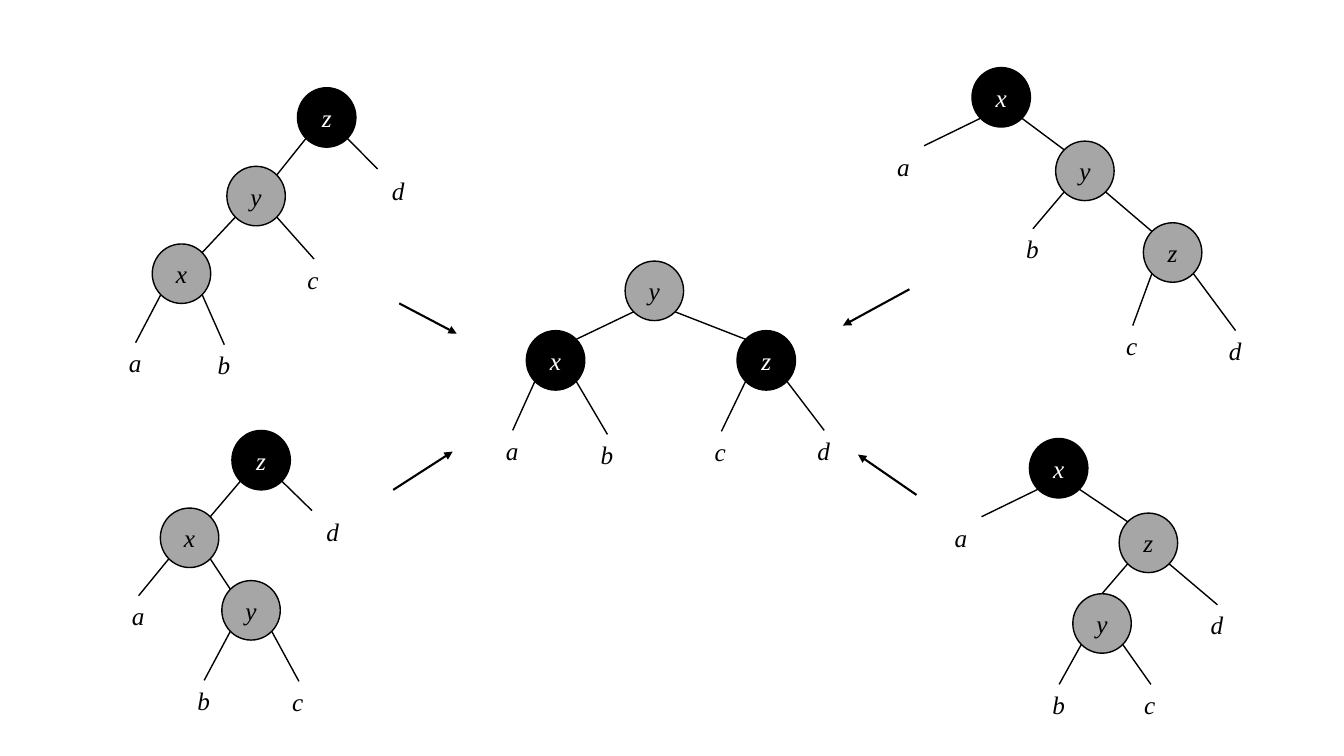
from collections import namedtuple
from math import sqrt

from pptx import Presentation
from pptx.dml.color import RGBColor
from pptx.enum.shapes import MSO_CONNECTOR, MSO_SHAPE
from pptx.enum.text import MSO_ANCHOR, MSO_AUTO_SIZE, PP_ALIGN
from pptx.oxml.ns import qn
from pptx.util import Inches, Pt
from lxml.etree import SubElement

BLACK, WHITE, GRAY = "000000", "FFFFFF", "A6A6A6"
WIDE, HIGH = 0.58, 0.59
LEAF_W, LEAF_H = 0.33, 0.4
NEAR = (1 - 1 / sqrt(2)) / 2  # where a diagonal meets an ellipse in its box
STEEP = 0.5

# left and top of the box; fill is None for a bare round leaf
Node = namedtuple("Node", "name left top fill kids", defaults=[GRAY, ()])
Leaf = namedtuple("Leaf", "name left top")


def color(code):
    return RGBColor.from_string(code)


class Board:
    def __init__(self, slide):
        self.slide = slide
        self.font = "Times New Roman"
        self.size = Pt(18)
        self.shapes = slide.shapes

    def letter(self, frame, text, ink):
        run = frame.paragraphs[0].add_run()
        run.text = text
        run.font.name = self.font
        run.font.size = self.size
        run.font.italic = True
        run.font.color.rgb = color(ink)

    def line(self, start, end, width=1, arrow=False):
        link = self.shapes.add_connector(
            MSO_CONNECTOR.STRAIGHT, *map(Inches, (*start, *end)))
        link.line.color.rgb = color(BLACK)
        link.line.width = Pt(width)
        props = link._element.spPr
        if arrow:
            SubElement(props.find(qn("a:ln")), qn("a:tailEnd"), type="triangle")
        SubElement(props, qn("a:effectLst"))

    def circle(self, node):
        disc = self.shapes.add_shape(
            MSO_SHAPE.OVAL, *map(Inches, (node.left, node.top, WIDE, HIGH)))
        disc.shadow.inherit = False
        if node.fill:
            disc.fill.solid()
            disc.fill.fore_color.rgb = color(node.fill)
            disc.line.color.rgb = color(BLACK)
            disc.line.width = Pt(1)
        else:
            disc.fill.background()
            disc.line.fill.background()
        frame = disc.text_frame
        frame.margin_left = frame.margin_right = Inches(0.04)
        frame.margin_top = frame.margin_bottom = Inches(0.04)
        frame.vertical_anchor = MSO_ANCHOR.MIDDLE
        frame.paragraphs[0].alignment = PP_ALIGN.CENTER
        self.letter(frame, node.name, WHITE if node.fill == BLACK else BLACK)

    def label(self, leaf):
        box = self.shapes.add_textbox(
            *map(Inches, (leaf.left, leaf.top, LEAF_W, LEAF_H)))
        frame = box.text_frame
        frame.word_wrap = False
        frame.auto_size = MSO_AUTO_SIZE.SHAPE_TO_FIT_TEXT
        self.letter(frame, leaf.name, BLACK)

    def edge(self, node, kid, side):
        """Join a node to its left (side 0) or right (side 1) child."""
        near, far = NEAR, 1 - NEAR
        out, back = (far, near) if side else (near, far)
        start = node.left + out * WIDE, node.top + far * HIGH
        if isinstance(kid, Leaf):
            end = kid.left + LEAF_W / 2, kid.top
        elif abs(kid.left - node.left) < STEEP:
            end = kid.left + WIDE / 2, kid.top
        else:
            end = kid.left + back * WIDE, kid.top + near * HIGH
        self.line(start, end)

    def branch(self, node):
        """Draw a node and everything below it."""
        if isinstance(node, Leaf):
            self.label(node)
            return
        for side, kid in enumerate(node.kids):
            self.edge(node, kid, side)
            self.branch(kid)
        self.circle(node)

    def tree(self, root):
        self.shapes = self.slide.shapes.add_group_shape().shapes
        self.branch(root)
        self.shapes = self.slide.shapes


TREES = [
    Node("y", 6.2, 2.59, GRAY, (
        Node("x", 5.22, 3.28, BLACK, (Leaf("a", 4.92, 4.27), Leaf("b", 5.86, 4.31))),
        Node("z", 7.31, 3.28, BLACK, (Leaf("c", 6.99, 4.28), Leaf("d", 8.01, 4.27))))),
    Node("x", 10.21, 4.35, BLACK, (
        Node("a", 9.24, 5.04, None),
        Node("z", 11.1, 5.09, GRAY, (
            Node("y", 10.64, 5.89, GRAY, (Leaf("b", 10.34, 6.79), Leaf("c", 11.25, 6.79))),
            Leaf("d", 11.91, 6))))),
    Node("z", 2.3, 4.27, BLACK, (
        Node("x", 1.59, 5.04, GRAY, (
            Leaf("a", 1.21, 5.91),
            Node("y", 2.2, 5.76, GRAY, (Leaf("b", 1.86, 6.75), Leaf("c", 2.8, 6.76))))),
        Node("d", 3.01, 4.98, None))),
    Node("x", 9.64, 0.67, BLACK, (
        Node("a", 8.67, 1.36, None),
        Node("y", 10.47, 1.4, GRAY, (
            Leaf("b", 10.08, 2.27),
            Node("z", 11.34, 2.21, GRAY, (Leaf("c", 11.07, 3.23), Leaf("d", 12.09, 3.28))))))),
    Node("z", 2.95, 0.87, BLACK, (
        Node("y", 2.25, 1.65, GRAY, (
            Node("x", 1.51, 2.42, GRAY, (Leaf("a", 1.18, 3.4), Leaf("b", 2.06, 3.42))),
            Leaf("c", 2.95, 2.57))),
        Node("d", 3.66, 1.59, None))),
]

ARROWS = [
    ((3.96, 3.01), (4.53, 3.31)),
    ((3.9, 4.86), (4.49, 4.48)),
    ((9.02, 2.87), (8.36, 3.23)),
    ((9.09, 4.91), (8.51, 4.51)),
]


def main():
    deck = Presentation()
    deck.slide_width, deck.slide_height = Inches(13.33), Inches(7.5)
    board = Board(deck.slides.add_slide(deck.slide_layouts[6]))
    for root in TREES:
        board.tree(root)
    for start, end in ARROWS:
        board.line(start, end, 1.5, arrow=True)
    deck.save("out.pptx")


if __name__ == "__main__":
    main()
